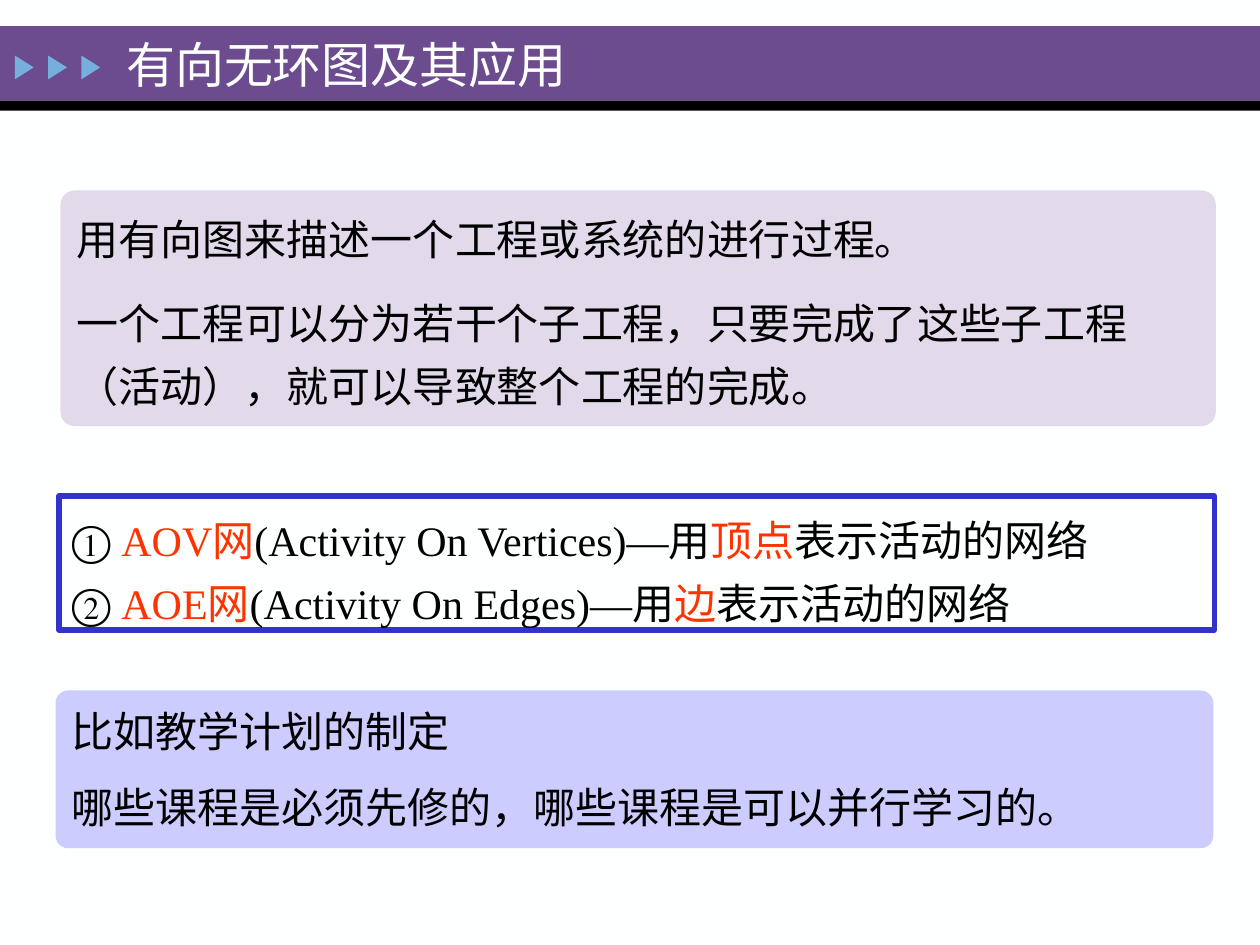
from lxml import etree
from pptx import Presentation
from pptx.dml.color import RGBColor
from pptx.enum.shapes import MSO_SHAPE
from pptx.enum.text import MSO_ANCHOR, MSO_AUTO_SIZE, PP_ALIGN
from pptx.oxml.ns import qn
from pptx.util import Cm, Pt

RECTANGLE = MSO_SHAPE.RECTANGLE
ROUNDED = MSO_SHAPE.ROUNDED_RECTANGLE
TRIANGLE = MSO_SHAPE.ISOSCELES_TRIANGLE
TOP, MIDDLE = MSO_ANCHOR.TOP, MSO_ANCHOR.MIDDLE
LEFT = PP_ALIGN.LEFT
NO_AUTOFIT = MSO_AUTO_SIZE.NONE

FONT = "Times New Roman"
COLORS = {
    "background": "FEFFFF",
    "banner": "6C4C8F",
    "black": "000000",
    "arrow": "76AEDD",
    "lilac": "E2D9EB",
    "periwinkle": "CCCCFF",
    "frame": "3333CC",
    "accent": "FF3300",
}


def add_filled_shape(kind, left, top, width, height, color):
    shape = page.shapes.add_shape(kind, Cm(left), Cm(top), Cm(width), Cm(height))
    shape.shadow.inherit = False
    shape.fill.solid()
    shape.fill.fore_color.rgb = RGBColor.from_string(COLORS[color])
    shape.line.fill.background()
    return shape


def write_text(box, paragraphs, size=24, spacing=1.0, gap=0, anchor=TOP):
    frame = box.text_frame
    frame.word_wrap = True
    frame.auto_size = NO_AUTOFIT
    frame.vertical_anchor = anchor
    for index, spans in enumerate(paragraphs):
        para = frame.paragraphs[0] if index == 0 else frame.add_paragraph()
        para.alignment = LEFT
        para.line_spacing = spacing
        para.space_before = Pt(gap if index else 0)
        for text, color in spans:
            span = para.add_run()
            span.text = text
            span.font.name = FONT
            span.font.size = Pt(size)
            span.font.color.rgb = RGBColor.from_string(COLORS[color])


deck = Presentation()
deck.slide_width, deck.slide_height = Cm(25.4), Cm(19.05)
page = deck.slides.add_slide(deck.slide_layouts[1])
page.background.fill.solid()
page.background.fill.fore_color.rgb = RGBColor.from_string(COLORS["background"])

add_filled_shape(RECTANGLE, 0, 0.53, 25.4, 1.5, "banner")
add_filled_shape(RECTANGLE, 0, 2.03, 25.4, 0.2, "black")
for column in range(3):
    arrow = add_filled_shape(TRIANGLE, 0.25 + 0.67 * column, 1.17, 0.48, 0.38, "arrow")
    arrow.rotation = 90

title = page.shapes.title
title.left, title.top, title.width, title.height = Cm(2.29), Cm(0.23), Cm(14.78), Cm(2.13)
write_text(title, [[("有向无环图及其应用", "background")]], size=28, anchor=MIDDLE)
title.element.getparent().append(title.element)

process_box = add_filled_shape(ROUNDED, 1.22, 3.84, 23.29, 4.75, "lilac")
process_box.adjustments[0] = 0.06
write_text(process_box, [
    [("用有向图来描述一个工程或系统的进行过程。", "black")],
    [("一个工程可以分为若干个子工程，只要完成了这些子工程（活动），就可以导致整个工程的完成。", "black")],
], spacing=1.25, gap=12)

networks = page.placeholders[1]
networks.left, networks.top, networks.width, networks.height = Cm(1.19), Cm(10), Cm(23.29), Cm(2.7)
networks.line.color.rgb = RGBColor.from_string(COLORS["frame"])
networks.line.width = Pt(3)
network_rows = [
    ("① ", "AOV网", "(Activity On Vertices)—用", "顶点"),
    ("② ", "AOE网", "(Activity On Edges)—用", "边"),
]
write_text(networks, [
    [(number, "black"), (name, "accent"), (meaning, "black"),
     (element, "accent"), ("表示活动的网络", "black")]
    for number, name, meaning, element in network_rows
], spacing=1.25)
for para in networks.text_frame.paragraphs:
    properties = para._p.get_or_add_pPr()
    properties.set("marL", "0")
    properties.set("indent", "0")
    etree.SubElement(properties, qn("a:buNone"))

example_box = add_filled_shape(ROUNDED, 1.12, 13.92, 23.34, 3.18, "periwinkle")
example_box.adjustments[0] = 0.08
write_text(example_box, [
    [("比如教学计划的制定", "black")],
    [("哪些课程是必须先修的，哪些课程是可以并行学习的。", "black")],
], spacing=1.1, gap=12)

deck.save("out.pptx")
